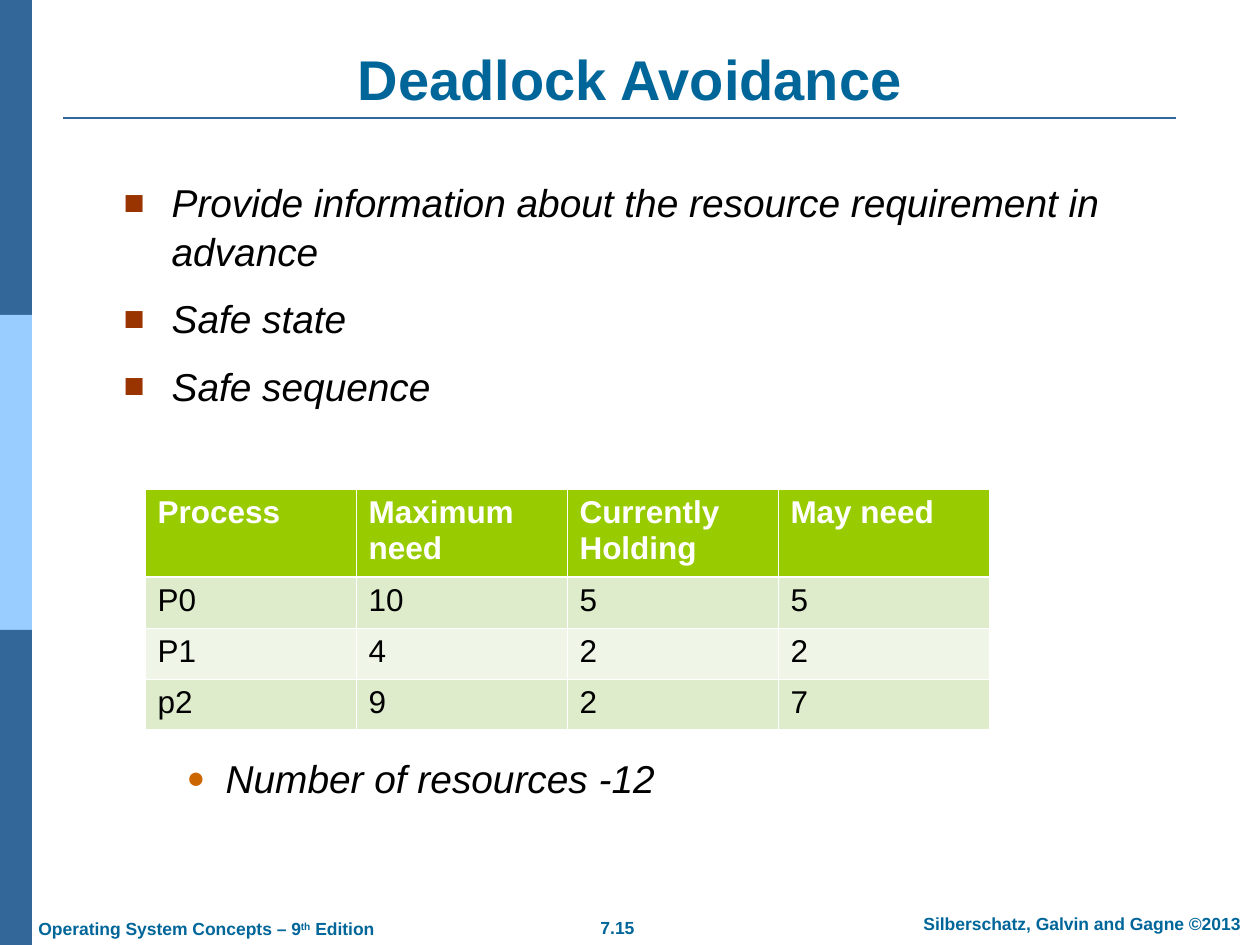
from dataclasses import dataclass

from lxml.etree import SubElement
from pptx import Presentation
from pptx.dml.color import RGBColor
from pptx.enum.shapes import MSO_CONNECTOR, MSO_SHAPE
from pptx.enum.text import MSO_ANCHOR, MSO_AUTO_SIZE, PP_ALIGN
from pptx.oxml.ns import qn
from pptx.util import Emu, Pt


@dataclass(frozen=True)
class Theme:
    """Colours, font and type sizes of the slide."""
    font: str = "Arial"
    heading: str = "006699"
    text: str = "000000"
    white: str = "FFFFFF"
    bar: str = "336699"
    bar_light: str = "99CCFF"
    square: str = "993300"
    dot: str = "CC6600"
    header: str = "99CC00"
    band_dark: str = "DEECCB"
    band_light: str = "EFF6E7"
    title_pt: float = 32
    body_pt: float = 22.2
    table_pt: float = 18
    footer_pt: float = 10
    line_pt: float = 1.5
    grid_pt: float = 0.45
    header_line_pt: float = 1.47


@dataclass(frozen=True)
class Box:
    """A rectangle in px."""
    x: int
    y: int
    w: int
    h: int


@dataclass(frozen=True)
class BulletStyle:
    """A list level with its marker and indents in px."""
    level: int
    char: str
    color: str
    percent: int
    margin: int
    hanging: int


@dataclass(frozen=True)
class Bullet:
    """One list entry with its space before in points."""
    text: str
    style: BulletStyle
    before: float = 10.5


@dataclass(frozen=True)
class Footer:
    """One footer line, where the superscript follows the lead text."""
    box: Box
    align: PP_ALIGN
    lead: str
    superscript: str = ""
    tail: str = ""


THEME = Theme()
SQUARE = BulletStyle(0, "■", THEME.square, 90, 48, 48)
DOT = BulletStyle(1, "●", THEME.dot, 80, 102, 39)
BULLETS = [
    Bullet("Provide information about the resource requirement in advance", SQUARE, 0),
    Bullet("Safe state", SQUARE),
    Bullet("Safe sequence", SQUARE),
    Bullet("Number of resources -12", DOT, 196),
]
FOOTERS = [
    Footer(Box(556, 911, 123, 34), PP_ALIGN.CENTER, "7.15"),
    Footer(Box(895, 907, 374, 34), PP_ALIGN.CENTER, "Silberschatz, Galvin and Gagne ©2013"),
    Footer(Box(26, 912, 361, 33), PP_ALIGN.LEFT, "Operating System Concepts – 9", "th", " Edition"),
]
ROWS = [
    ("Process", "Maximum need", "Currently Holding", "May need"),
    ("P0", "10", "5", "5"),
    ("P1", "4", "2", "2"),
    ("p2", "9", "2", "7"),
]


def px(n: int) -> Emu:
    """Turn px into EMU."""
    return Emu(round(n * 914400 / 126))


def rgb(color: str) -> RGBColor:
    """Turn a hex string into a colour."""
    return RGBColor.from_string(color)


def place(sp, box: Box) -> None:
    """Move a shape to a box."""
    sp.left, sp.top, sp.width, sp.height = map(px, (box.x, box.y, box.w, box.h))


def add_run(p, text: str, size: float, color: str, bold: bool = False, italic: bool = False):
    """Add one formatted run to a paragraph."""
    r = p.add_run()
    r.text = text
    r.font.name, r.font.size = THEME.font, Pt(size)
    r.font.bold, r.font.italic = bold, italic
    r.font.color.rgb = rgb(color)
    return r


def add_bar(s, box: Box, color: str) -> None:
    """Draw one segment of the side bar."""
    sp = s.shapes.add_shape(MSO_SHAPE.RECTANGLE, *map(px, (box.x, box.y, box.w, box.h)))
    sp.shadow.inherit = False
    sp.fill.solid()
    sp.fill.fore_color.rgb = rgb(color)
    sp.line.fill.background()


def add_rule(s, x1: int, x2: int, y: int) -> None:
    """Draw the line below the title."""
    sp = s.shapes.add_connector(MSO_CONNECTOR.STRAIGHT, px(x1), px(y), px(x2), px(y))
    sp.line.color.rgb = rgb(THEME.bar)
    sp.line.width = Pt(THEME.line_pt)
    SubElement(sp._element.spPr, qn("a:effectLst"))


def fill_title(sp, box: Box, text: str) -> None:
    """Write the slide title."""
    place(sp, box)
    tf = sp.text_frame
    tf.auto_size, tf.vertical_anchor = MSO_AUTO_SIZE.NONE, MSO_ANCHOR.BOTTOM
    p = tf.paragraphs[0]
    p.alignment = PP_ALIGN.CENTER
    add_run(p, text, THEME.title_pt, THEME.heading, bold=True)


def set_bullet(p, style: BulletStyle) -> None:
    """Give a paragraph its marker and indents."""
    p.level = style.level
    pPr = p._p.get_or_add_pPr()
    pPr.set("marL", str(px(style.margin)))
    pPr.set("indent", str(-px(style.hanging)))
    SubElement(SubElement(pPr, qn("a:buClr")), qn("a:srgbClr"), val=style.color)
    SubElement(pPr, qn("a:buSzPct"), val=str(style.percent * 1000))
    SubElement(pPr, qn("a:buFont"), typeface=THEME.font)
    SubElement(pPr, qn("a:buChar"), char=style.char)


def fill_body(sp, box: Box, bullets: list[Bullet]) -> None:
    """Write the bullet list."""
    place(sp, box)
    tf = sp.text_frame
    tf.auto_size = MSO_AUTO_SIZE.NONE
    for i, bullet in enumerate(bullets):
        p = tf.add_paragraph() if i else tf.paragraphs[0]
        set_bullet(p, bullet.style)
        p.space_before, p.line_spacing = Pt(bullet.before), 1.05
        add_run(p, bullet.text, THEME.body_pt, THEME.text, italic=True)


def add_border(cell, side: str, width: float) -> None:
    """Draw one white cell border."""
    ln = SubElement(cell._tc.get_or_add_tcPr(), qn(f"a:ln{side}"), w=str(Pt(width)))
    SubElement(SubElement(ln, qn("a:solidFill")), qn("a:srgbClr"), val=THEME.white)


def add_process_table(s, box: Box, heights: list[int]) -> None:
    """Draw the table of processes and their needs."""
    sp = s.shapes.add_table(len(ROWS), len(ROWS[0]), *map(px, (box.x, box.y, box.w, box.h)))
    for i, (row, height) in enumerate(zip(ROWS, heights)):
        sp.table.rows[i].height = px(height)
        fill = THEME.header if i == 0 else THEME.band_dark if i % 2 else THEME.band_light
        for j, text in enumerate(row):
            cell = sp.table.cell(i, j)
            for side in "LRTB":
                heavy = (i, side) in ((0, "B"), (1, "T"))
                add_border(cell, side, THEME.header_line_pt if heavy else THEME.grid_pt)
            cell.fill.solid()
            cell.fill.fore_color.rgb = rgb(fill)
            color = THEME.text if i else THEME.white
            add_run(cell.text_frame.paragraphs[0], text, THEME.table_pt, color, bold=i == 0)


def add_footer(s, footer: Footer) -> None:
    """Write one footer line."""
    box = footer.box
    tf = s.shapes.add_textbox(*map(px, (box.x, box.y, box.w, box.h))).text_frame
    tf.word_wrap = True
    p = tf.paragraphs[0]
    p.alignment = footer.align
    for text in filter(None, (footer.lead, footer.superscript, footer.tail)):
        r = add_run(p, text, THEME.footer_pt, THEME.heading, bold=True)
        if text == footer.superscript:
            r.font._element.set("baseline", "30000")


def main() -> None:
    """Build and save the slide."""
    prs = Presentation()
    prs.slide_width, prs.slide_height = px(1260), px(945)
    s = prs.slides.add_slide(prs.slide_layouts[1])
    for i, color in enumerate((THEME.bar, THEME.bar_light, THEME.bar)):
        add_bar(s, Box(0, i * 315, 32, 315), color)
    add_rule(s, 63, 1176, 118)
    fill_title(s.shapes.title, Box(63, 38, 1134, 80), "Deadlock Avoidance")
    fill_body(s.placeholders[1], Box(111, 170, 1134, 625), BULLETS)
    add_process_table(s, Box(145, 489, 844, 240), [88, 51, 51, 50])
    for footer in FOOTERS:
        add_footer(s, footer)
    prs.save("out.pptx")


if __name__ == "__main__":
    main()
